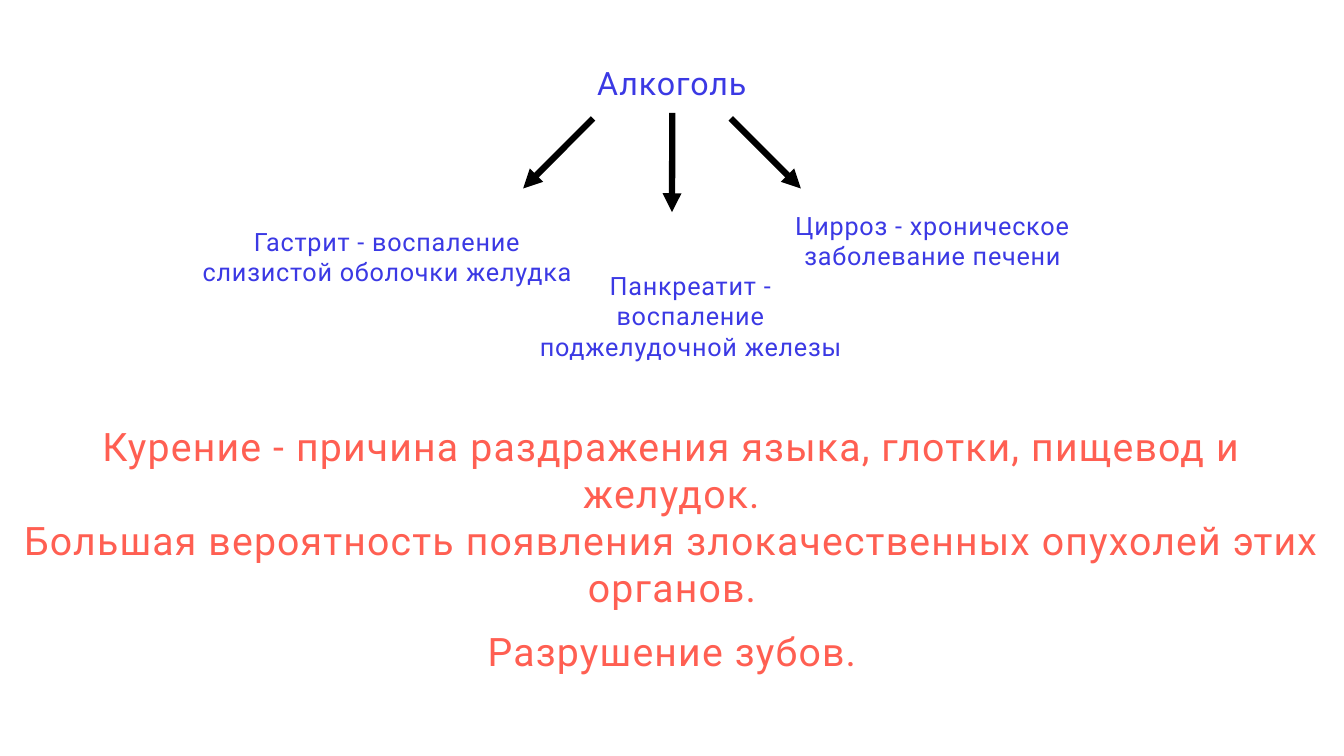
from dataclasses import dataclass

from lxml.etree import SubElement
from pptx import Presentation
from pptx.dml.color import RGBColor
from pptx.enum.shapes import MSO_CONNECTOR
from pptx.enum.text import MSO_ANCHOR, MSO_AUTO_SIZE, PP_ALIGN
from pptx.oxml.ns import qn
from pptx.util import Inches, Pt


@dataclass(frozen=True)
class TextStyle:
    size: int
    color: str
    tracking: int


@dataclass(frozen=True)
class Theme:
    font: str = "Roboto"
    arrow_color: str = "000000"
    arrow_width: int = 9
    paragraph_gap: int = 24
    inset: float = 0.06
    heading: TextStyle = TextStyle(46, "3B39E4", 140)
    disease: TextStyle = TextStyle(36, "3B39E4", 110)
    smoking: TextStyle = TextStyle(56, "FF5F52", 170)


THEME = Theme()
WIDTH, HEIGHT = Inches(26.67), Inches(15)
COLUMNS, ROWS = 80, 45

HEADING = "Алкоголь"
HEADING_PLACE = (35.36, 3.63, 9.27, 2.58)
ARROWS = [
    ((35.3, 7.05), (31.14, 11.22)),
    ((40.02, 6.72), (40, 12.63)),
    ((43.5, 7.05), (47.67, 11.22)),
]
DISEASES = [
    ("Гастрит - воспаление слизистой оболочки желудка", (11.31, 13.32, 23.49, 3.87)),
    ("Панкреатит - воспаление поджелудочной железы", (31.62, 15.96, 18.99, 5.67)),
    ("Цирроз - хроническое заболевание печени", (45.18, 12.36, 20.67, 3.87)),
]
SMOKING = [
    "Курение - причина раздражения языка, глотки, пищевод и желудок.\v"
    "Большая вероятность появления злокачественных опухолей этих органов.",
    "Разрушение зубов.",
]
SMOKING_PLACE = (1.11, 24.99, 77.79, 15.24)


def set_values(target, values):
    for name, value in values.items():
        setattr(target, name, value)


def point(column, row):
    return round(WIDTH * column / COLUMNS), round(HEIGHT * row / ROWS)


def frame(left, top, width, height):
    return *point(left, top), *point(width, height)


def write_text(box, paragraphs, style, wrap=True):
    text_frame = box.text_frame
    sides = ("left", "top", "right", "bottom")
    set_values(text_frame, {
        "text": "\n".join(paragraphs),
        "word_wrap": wrap,
        "auto_size": MSO_AUTO_SIZE.SHAPE_TO_FIT_TEXT,
        "vertical_anchor": MSO_ANCHOR.MIDDLE,
        **{f"margin_{side}": Inches(THEME.inset) for side in sides},
    })
    for para in text_frame.paragraphs:
        set_values(para, {
            "alignment": PP_ALIGN.CENTER,
            "space_before": Pt(THEME.paragraph_gap),
        })
        for span in para.runs:
            set_values(span.font, {"name": THEME.font, "size": Pt(style.size)})
            span.font.color.rgb = RGBColor.from_string(style.color)
            span._r.get_or_add_rPr().set("spc", str(style.tracking))


def place_heading(page):
    box = page.shapes.title
    set_values(box, dict(zip(("left", "top", "width", "height"), frame(*HEADING_PLACE))))
    write_text(box, [HEADING], THEME.heading, wrap=False)


def add_text(page, paragraphs, place, style):
    box = page.shapes.add_textbox(*frame(*place))
    write_text(box, paragraphs, style)


def add_arrow(page, start, end):
    arrow = page.shapes.add_connector(MSO_CONNECTOR.STRAIGHT, *point(*start), *point(*end))
    arrow.line.width = Pt(THEME.arrow_width)
    arrow.line.color.rgb = RGBColor.from_string(THEME.arrow_color)
    properties = arrow._element.spPr
    SubElement(properties.find(qn("a:ln")), qn("a:tailEnd"), type="triangle")
    SubElement(properties, qn("a:effectLst"))


def main():
    deck = Presentation()
    set_values(deck, {"slide_width": WIDTH, "slide_height": HEIGHT})
    page = deck.slides.add_slide(deck.slide_layouts.get_by_name("Title Only"))
    place_heading(page)
    for start, end in ARROWS:
        add_arrow(page, start, end)
    for text, place in DISEASES:
        add_text(page, [text], place, THEME.disease)
    add_text(page, SMOKING, SMOKING_PLACE, THEME.smoking)
    deck.save("out.pptx")


if __name__ == "__main__":
    main()
